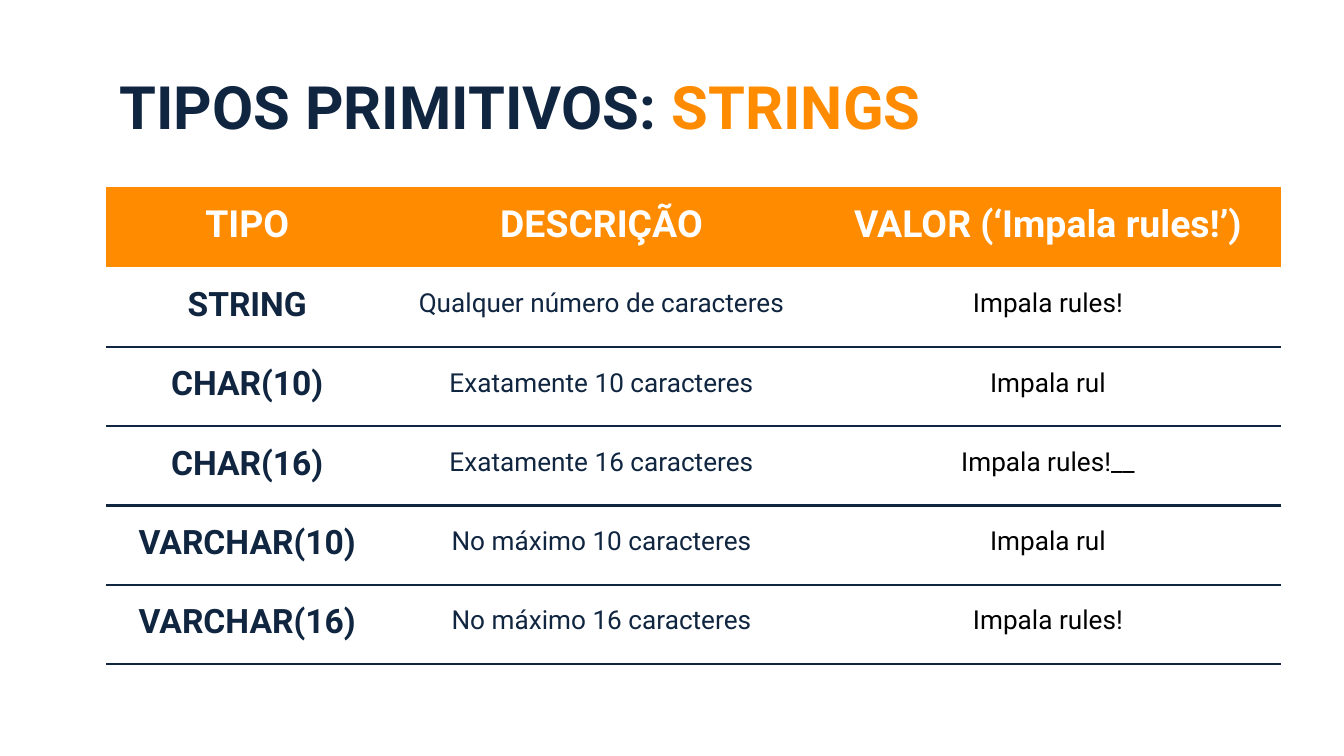
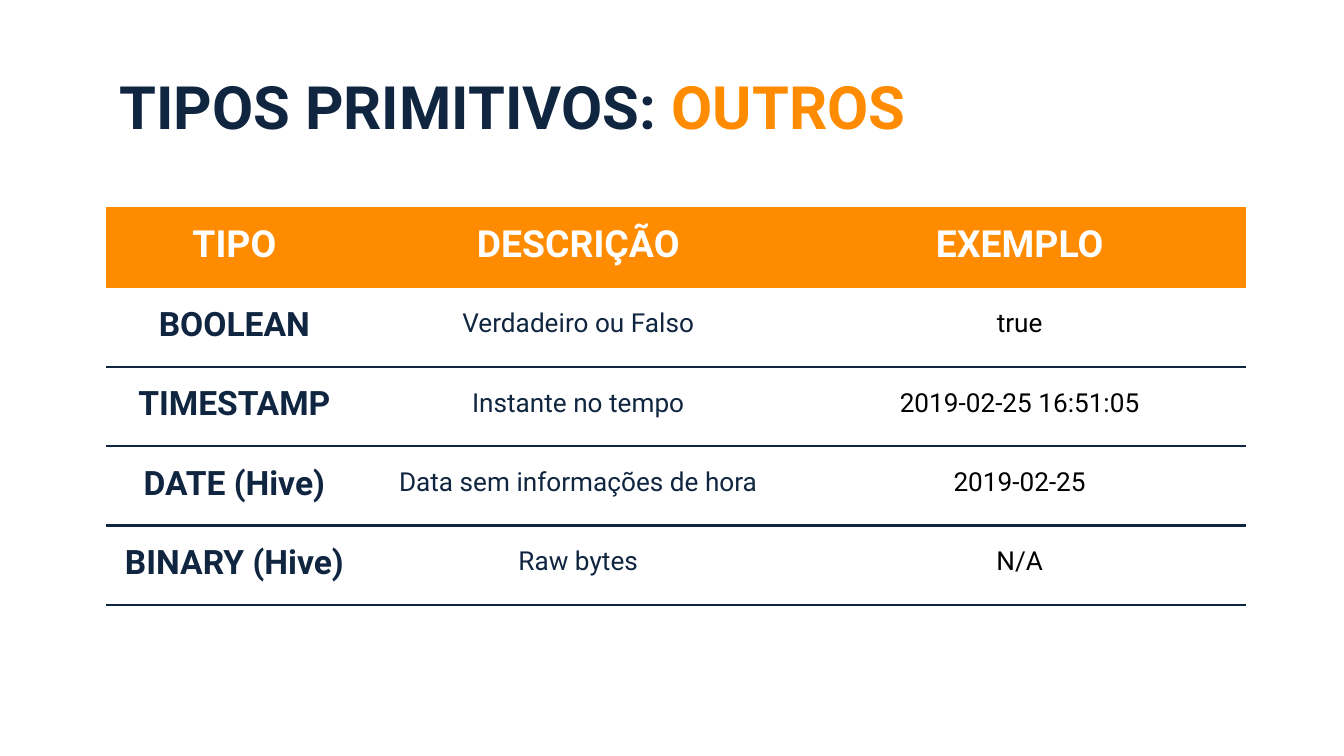
from pptx import Presentation
from pptx.dml.color import RGBColor
from pptx.enum import text
from pptx.oxml import parse_xml
from pptx.oxml.ns import nsdecls, qn
from pptx.util import Pt

FONT = "Roboto"
NAVY, ORANGE, WHITE, BLACK = "102540", "FF8B00", "FFFFFF", "000000"
LEFT = 56.9
HEADER_HEIGHT, ROW_HEIGHT = 43.2, 42.5
RULE_WIDTH = 1.5
PLAIN_TABLE_STYLE = "{2D5ABB26-0587-4C30-8999-92F81FD0307C}"

# Size, bold, colour and top inset of each column's body text
BODY_STYLES = [
    (18, True, NAVY, 5),
    (14, False, NAVY, 3.6),
    (14, False, BLACK, 3.6),
]


def rgb(value):
    return RGBColor.from_string(value)


def add_run(paragraph, words, size, bold, color):
    run = paragraph.add_run()
    run.text = words
    run.font.name = FONT
    run.font.size = Pt(size)
    run.font.bold = bold
    run.font.color.rgb = rgb(color)


def add_title(slide, topic):
    title = slide.shapes.add_textbox(Pt(LEFT), Pt(30.2), Pt(606.2), Pt(46.8))
    frame = title.text_frame
    frame.word_wrap = True
    frame.margin_left = frame.margin_right = Pt(7.2)
    frame.margin_top = frame.margin_bottom = Pt(7.2)
    add_run(frame.paragraphs[0], "TIPOS PRIMITIVOS: ", 32, True, NAVY)
    add_run(frame.paragraphs[0], topic, 32, True, ORANGE)


def set_borders(cell, ruled_sides):
    """Draw navy rules on the given sides (L, R, T, B) and clear the others."""
    properties = cell._tc.get_or_add_tcPr()
    for side in "LRTB":
        if side in ruled_sides:
            width = Pt(RULE_WIDTH)
            paint = f'<a:solidFill><a:srgbClr val="{NAVY}"/></a:solidFill>'
        else:
            width, paint = 0, "<a:noFill/>"
        properties.append(parse_xml(
            f'<a:ln{side} {nsdecls("a")} w="{width}">{paint}</a:ln{side}>'))


def fill_cell(cell, words, size, bold, color, top_inset):
    cell.vertical_anchor = text.MSO_ANCHOR.MIDDLE
    cell.margin_left = cell.margin_right = cell.margin_bottom = Pt(7.2)
    cell.margin_top = Pt(top_inset)
    paragraph = cell.text_frame.paragraphs[0]
    paragraph.alignment = text.PP_ALIGN.CENTER
    add_run(paragraph, words, size, bold, color)


def add_type_table(slide, top, widths, headings, types):
    height = HEADER_HEIGHT + ROW_HEIGHT * len(types)
    table = slide.shapes.add_table(
        len(types) + 1, len(widths),
        Pt(LEFT), Pt(top), Pt(sum(widths)), Pt(height)).table
    table.horz_banding = False
    table._tbl.tblPr.find(qn("a:tableStyleId")).text = PLAIN_TABLE_STYLE

    for column, width in zip(table.columns, widths):
        column.width = Pt(width)
    for index, row in enumerate(table.rows):
        row.height = Pt(ROW_HEIGHT if index else HEADER_HEIGHT)

    for column, heading in enumerate(headings):
        cell = table.cell(0, column)
        fill_cell(cell, heading, 20, True, WHITE, 5 if column else 4.3)
        set_borders(cell, "")
        cell.fill.solid()
        cell.fill.fore_color.rgb = rgb(ORANGE)

    for row, values in enumerate(types, start=1):
        for column, (value, style) in enumerate(zip(values, BODY_STYLES)):
            cell = table.cell(row, column)
            fill_cell(cell, value, *style)
            set_borders(cell, "B" if row == 1 else "TB")
            cell.fill.background()


def add_types_slide(deck, topic, top, widths, headings, types):
    slide = deck.slides.add_slide(deck.slide_layouts[6])
    slide.background.fill.solid()
    slide.background.fill.fore_color.rgb = rgb(WHITE)
    add_type_table(slide, top, widths, headings, types)
    add_title(slide, topic)


def main():
    deck = Presentation()
    deck.slide_width, deck.slide_height = Pt(720), Pt(405)
    add_types_slide(
        deck, "STRINGS", 100.1, [151.2, 228.4, 250],
        ["TIPO", "DESCRIÇÃO", "VALOR (‘Impala rules!’)"],
        [
            ("STRING", "Qualquer número de caracteres", "Impala rules!"),
            ("CHAR(10)", "Exatamente 10 caracteres", "Impala rul"),
            ("CHAR(16)", "Exatamente 16 caracteres", "Impala rules!__"),
            ("VARCHAR(10)", "No máximo 10 caracteres", "Impala rul"),
            ("VARCHAR(16)", "No máximo 16 caracteres", "Impala rules!"),
        ])
    add_types_slide(
        deck, "OUTROS", 110.9, [137.4, 231, 242],
        ["TIPO", "DESCRIÇÃO", "EXEMPLO"],
        [
            ("BOOLEAN", "Verdadeiro ou Falso", "true"),
            ("TIMESTAMP", "Instante no tempo", "2019-02-25 16:51:05"),
            ("DATE (Hive)", "Data sem informações de hora", "2019-02-25"),
            ("BINARY (Hive)", "Raw bytes", "N/A"),
        ])
    deck.save("out.pptx")


if __name__ == "__main__":
    main()
